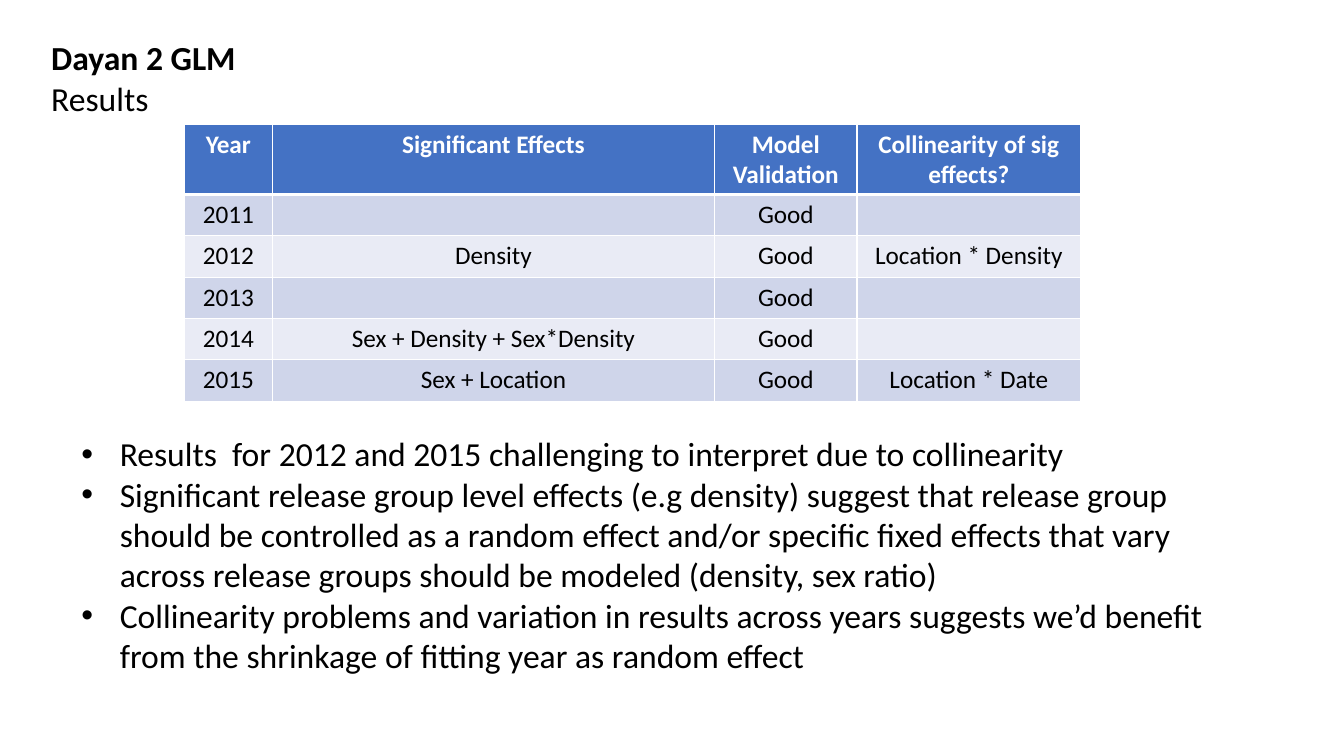
from lxml import etree
from pptx import Presentation
from pptx.dml.color import RGBColor
from pptx.enum.text import MSO_AUTO_SIZE, PP_ALIGN
from pptx.oxml.ns import qn
from pptx.util import Inches, Pt

CENTER = PP_ALIGN.CENTER
FIT_SHAPE = MSO_AUTO_SIZE.SHAPE_TO_FIT_TEXT
BLACK = RGBColor(0x00, 0x00, 0x00)
WHITE = RGBColor(0xFF, 0xFF, 0xFF)
HEADER_BLUE = RGBColor(0x44, 0x72, 0xC4)
BAND_DARK = RGBColor(0xCF, 0xD5, 0xEA)
BAND_LIGHT = RGBColor(0xE9, 0xEB, 0xF5)

COLUMN_WIDTHS = [0.87, 4.39, 1.41, 2.22]
HEADER_HEIGHT, ROW_HEIGHT = 0.7, 0.41
RESULTS = [
    ["Year", "Significant Effects", "Model Validation", "Collinearity of sig effects?"],
    ["2011", "", "Good", ""],
    ["2012", "Density", "Good", "Location * Density"],
    ["2013", "", "Good", ""],
    ["2014", "Sex + Density + Sex*Density", "Good", ""],
    ["2015", "Sex + Location", "Good", "Location * Date"],
]
CONCLUSIONS = [
    "Results  for 2012 and 2015 challenging to interpret due to collinearity",
    "Significant release group level effects (e.g density) suggest that release group "
    "should be controlled as a random effect and/or specific fixed effects that vary "
    "across release groups should be modeled (density, sex ratio)",
    "Collinearity problems and variation in results across years suggests we’d benefit "
    "from the shrinkage of fitting year as random effect",
]


def style_runs(paragraph, size, color, bold=False):
    for span in paragraph.runs:
        span.font.name = "Calibri"
        span.font.size = Pt(size)
        span.font.bold = bold
        span.font.color.rgb = color


def add_borders(cell, widths):
    """Draw white cell borders; widths maps each side (L, R, T, B) to points."""
    properties = cell._tc.get_or_add_tcPr()
    for position, side in enumerate("LRTB"):
        line = etree.Element(qn(f"a:ln{side}"), w=str(Pt(widths[side])))
        fill = etree.SubElement(line, qn("a:solidFill"))
        etree.SubElement(fill, qn("a:srgbClr"), val=str(WHITE))
        properties.insert(position, line)


deck = Presentation()
deck.slide_width, deck.slide_height = Inches(13.33), Inches(7.5)
page = deck.slides.add_slide(deck.slide_layouts[6])

# Heading
heading = page.shapes.add_textbox(Inches(0.41), Inches(0.32), Inches(2.05), Inches(0.91))
heading.text_frame.text = "Dayan 2 GLM\nResults"
heading.text_frame.word_wrap = False
heading.text_frame.auto_size = FIT_SHAPE
for index, para in enumerate(heading.text_frame.paragraphs):
    style_runs(para, 24, BLACK, bold=index == 0)

# Results table
table_height = HEADER_HEIGHT + ROW_HEIGHT * (len(RESULTS) - 1)
table = page.shapes.add_table(
    len(RESULTS), len(COLUMN_WIDTHS), Inches(1.83), Inches(1.23),
    Inches(sum(COLUMN_WIDTHS)), Inches(table_height)).table
for column, width in zip(table.columns, COLUMN_WIDTHS):
    column.width = Inches(width)
for row_index, values in enumerate(RESULTS):
    is_header = row_index == 0
    table.rows[row_index].height = Inches(HEADER_HEIGHT if is_header else ROW_HEIGHT)
    band = BAND_DARK if row_index % 2 else BAND_LIGHT
    borders = {"L": 1, "R": 1, "T": 3 if row_index == 1 else 1, "B": 3 if is_header else 1}
    for column_index, value in enumerate(values):
        cell = table.cell(row_index, column_index)
        cell.text = value
        cell.fill.solid()
        cell.fill.fore_color.rgb = HEADER_BLUE if is_header else band
        add_borders(cell, borders)
        para = cell.text_frame.paragraphs[0]
        para.alignment = CENTER
        style_runs(para, 18, WHITE if is_header else BLACK, bold=is_header)

# Conclusions
notes = page.shapes.add_textbox(Inches(0.71), Inches(4.25), Inches(11.54), Inches(2.93))
notes.text_frame.text = "\n".join(CONCLUSIONS)
notes.text_frame.word_wrap = True
notes.text_frame.auto_size = FIT_SHAPE
for para in notes.text_frame.paragraphs:
    properties = para._p.get_or_add_pPr()
    properties.set("marL", str(Inches(0.38)))
    properties.set("indent", str(-Inches(0.38)))
    etree.SubElement(properties, qn("a:buFont"), typeface="Arial")
    etree.SubElement(properties, qn("a:buChar"), char="•")
    style_runs(para, 24, BLACK)

deck.save("out.pptx")
